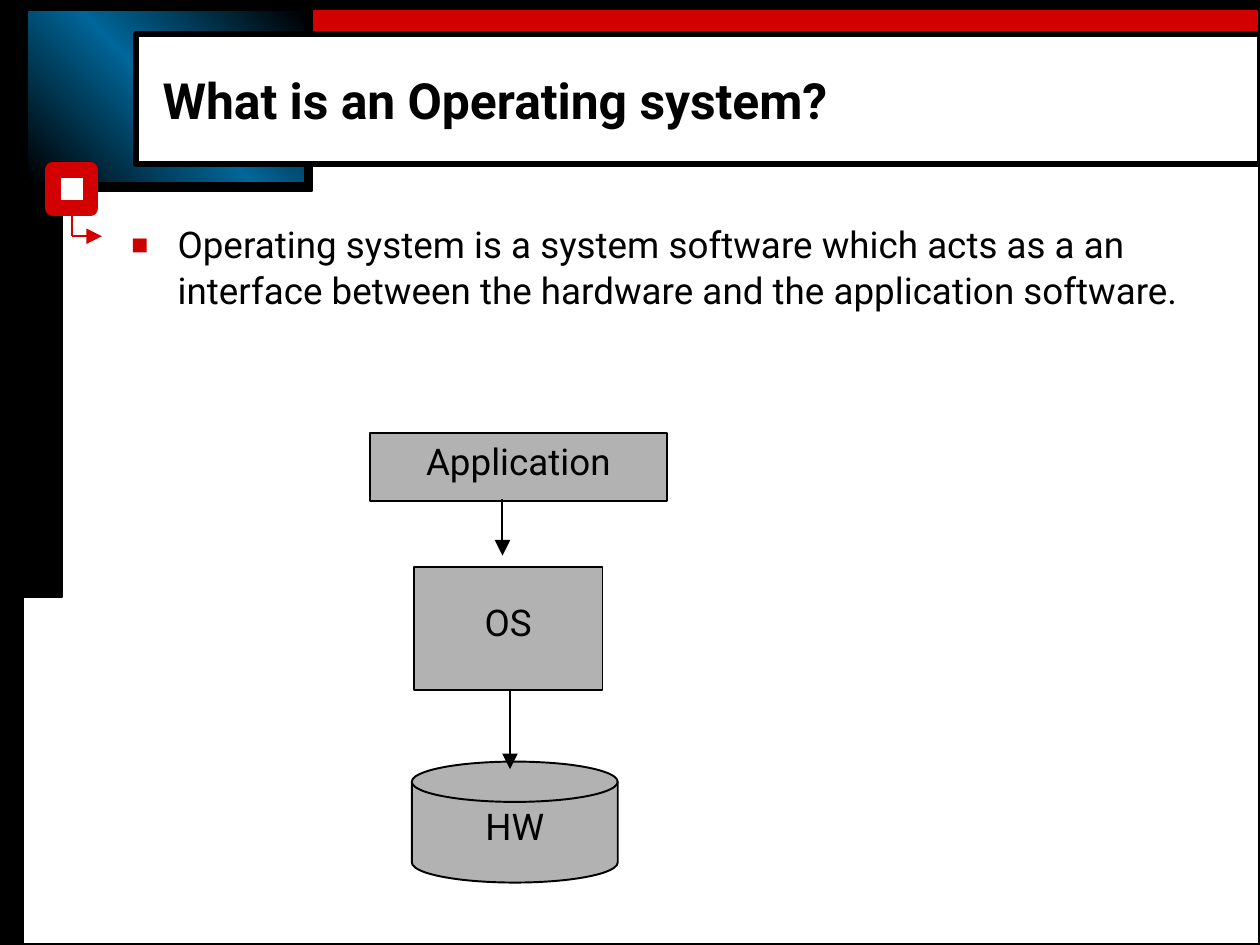
from copy import deepcopy
from dataclasses import dataclass

from lxml.etree import SubElement
from pptx import Presentation
from pptx.dml.color import RGBColor
from pptx.enum.shapes import MSO_CONNECTOR, MSO_SHAPE
from pptx.enum.text import MSO_ANCHOR, PP_ALIGN
from pptx.oxml.ns import qn
from pptx.util import Inches, Pt


@dataclass(frozen=True)
class Theme:
    """Colours, font, type sizes and line widths of the slide."""
    black: RGBColor = RGBColor.from_string("000000")
    white: RGBColor = RGBColor.from_string("FFFFFF")
    red: RGBColor = RGBColor.from_string("D20000")
    blue: RGBColor = RGBColor.from_string("006699")
    gray: RGBColor = RGBColor.from_string("B2B2B2")
    bullet: str = "CC0000"
    font: str = "Roboto"
    title_size: float = 19
    text_size: float = 14
    thin: float = 0.75
    border: float = 1.25
    panel: float = 2.25
    thick: float = 6


def apply_format(target, values):
    """Set each attribute of a target from a dict."""
    for name, value in values.items():
        setattr(target, name, value)


class SlideBuilder:
    """Draws elements on a slide with a grid of 667 columns by 500 rows."""

    COLUMNS, ROWS = 667, 500

    def __init__(self, presentation, theme):
        """Size the presentation and add a title-only slide."""
        self.theme = theme
        presentation.slide_width = Inches(6.67)
        presentation.slide_height = Inches(5)
        self.column = presentation.slide_width / self.COLUMNS
        self.row = presentation.slide_height / self.ROWS
        self.slide = presentation.slides.add_slide(presentation.slide_layouts[5])
        self.shapes = self.slide.shapes

    def place(self, left, top, width, height):
        """Turn columns and rows into slide lengths."""
        return (round(left * self.column), round(top * self.row),
                round(width * self.column), round(height * self.row))

    def box(self, area, fill=None, line=None, width=None, kind=MSO_SHAPE.RECTANGLE):
        """Add a preset shape, filled and outlined as asked."""
        shape = self.shapes.add_shape(kind, *self.place(*area))
        shape.shadow.inherit = False
        if fill is None:
            shape.fill.background()
        else:
            shape.fill.solid()
            shape.fill.fore_color.rgb = fill
        if line is None:
            shape.line.fill.background()
        else:
            shape.line.color.rgb = line
            shape.line.width = Pt(width or self.theme.thin)
        return shape

    def gradient_box(self, area, colors, angle):
        """Add a rectangle with evenly spaced gradient stops."""
        shape = self.box(area)
        shape.fill.gradient()
        shape.fill.gradient_angle = angle
        stops = shape._element.spPr.find(f".//{qn('a:gsLst')}")
        for _ in colors[2:]:
            stops.append(deepcopy(stops[0]))
        for index, (stop, color) in enumerate(zip(shape.fill.gradient_stops, colors)):
            stop.color.rgb = color
            stop.position = index / (len(colors) - 1)

    def line(self, start, end, color, arrow=True):
        """Add a straight line, with an arrowhead at its end if asked."""
        connector = self.shapes.add_connector(
            MSO_CONNECTOR.STRAIGHT, *self.place(*start, *end))
        connector.line.color.rgb = color
        connector.line.width = Pt(self.theme.thin)
        properties = connector._element.spPr
        if arrow:
            SubElement(properties.find(qn("a:ln")), qn("a:tailEnd"), type="triangle")
        SubElement(properties, qn("a:effectLst"))

    def set_text(self, shape, text, size, frame, paragraph_format, bold=False):
        """Fill a shape with one formatted paragraph."""
        margins = {"margin_left": Inches(0.07), "margin_right": Inches(0.07),
                   "margin_top": Inches(0.03), "margin_bottom": Inches(0.03)}
        apply_format(shape.text_frame, margins | frame)
        paragraph = shape.text_frame.paragraphs[0]
        paragraph.text = text
        apply_format(paragraph, {"space_before": Pt(0)} | paragraph_format)
        apply_format(paragraph.font, {"name": self.theme.font, "size": Pt(size), "bold": bold})
        paragraph.font.color.rgb = self.theme.black

    def title(self, area, text):
        """Move the title placeholder to the front and format it."""
        title = self.shapes.title
        self.shapes._spTree.append(title._element)
        apply_format(title, dict(zip(("left", "top", "width", "height"), self.place(*area))))
        self.set_text(title, text, self.theme.title_size,
                      {"vertical_anchor": MSO_ANCHOR.MIDDLE, "word_wrap": True},
                      {"alignment": PP_ALIGN.LEFT, "line_spacing": 0.9}, bold=True)

    def bullet_text(self, area, text):
        """Add a wrapped text box with a square bullet."""
        shape = self.shapes.add_textbox(*self.place(*area))
        properties = shape.text_frame.paragraphs[0]._p.get_or_add_pPr()
        indent = Inches(0.25)
        properties.set("marL", str(indent))
        properties.set("indent", str(-indent))
        color = SubElement(properties, qn("a:buClr"))
        SubElement(color, qn("a:srgbClr"), val=self.theme.bullet)
        SubElement(properties, qn("a:buSzPct"), val="130000")
        SubElement(properties, qn("a:buFont"), typeface=self.theme.font)
        SubElement(properties, qn("a:buChar"), char="▪")
        self.set_text(shape, text, self.theme.text_size,
                      {"vertical_anchor": MSO_ANCHOR.TOP, "word_wrap": True},
                      {"line_spacing": 1.05, "space_after": Pt(2.6)})

    def node(self, area, text, kind=MSO_SHAPE.RECTANGLE):
        """Add a labelled diagram shape."""
        shape = self.box(area, self.theme.gray, self.theme.black, kind=kind)
        self.set_text(shape, text, self.theme.text_size,
                      {"vertical_anchor": MSO_ANCHOR.MIDDLE, "word_wrap": False},
                      {"alignment": PP_ALIGN.CENTER, "line_spacing": Pt(12),
                       "space_after": Pt(2.6)})


def draw_frame(builder):
    """Draw the banner, side bars and corner marker."""
    theme = builder.theme
    builder.box((165, 0, 502, 17), theme.red, theme.black)
    black_bars = [(0, 0, 667, 5), (0, 0, 165, 101), (0, 48, 33, 268), (0, 232, 12, 268)]
    for area in black_bars:
        builder.box(area, theme.black, theme.black)
    builder.gradient_box((15, 6, 146, 90), [theme.black, theme.blue, theme.black], 45)
    builder.box((72, 18, 595, 69), theme.white, theme.black, theme.panel)
    builder.box((28, 90, 20, 20), theme.white, theme.red, theme.thick)
    builder.line((38, 111), (38, 125), theme.red, arrow=False)
    builder.line((38, 125), (54, 125), theme.red)
    builder.box((0, 0, builder.COLUMNS, builder.ROWS), None, theme.black, theme.border)


def draw_diagram(builder):
    """Draw the layers from application down to hardware."""
    builder.node((196, 229, 157, 36), "Application")
    builder.node((218, 403, 109, 64), "HW", MSO_SHAPE.FLOWCHART_MAGNETIC_DISK)
    builder.node((219, 300, 100, 65), "OS")
    for column, top, bottom in [(266, 264, 294), (270, 365, 407)]:
        builder.line((column, top), (column, bottom), builder.theme.black)


def main():
    """Build and save the slide."""
    presentation = Presentation()
    builder = SlideBuilder(presentation, Theme())
    draw_frame(builder)
    builder.title((79, 29, 577, 51), "What is an Operating system?")
    builder.bullet_text((62, 113, 569, 294),
                        "Operating system is a system software which acts as a an "
                        "interface between the hardware and the application software.")
    draw_diagram(builder)
    presentation.save("out.pptx")


if __name__ == "__main__":
    main()
